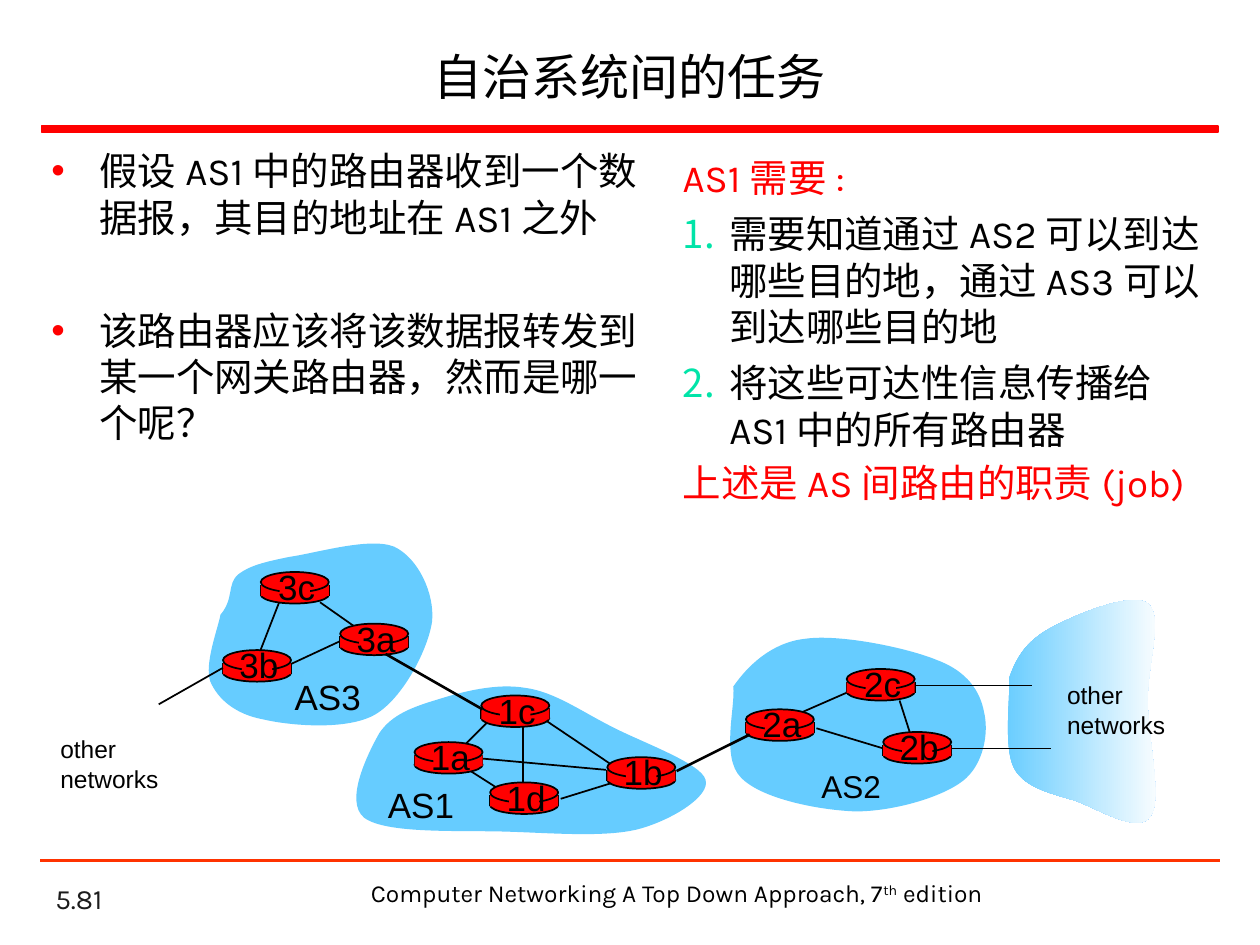
from lxml.etree import SubElement
from pptx import Presentation
from pptx.dml.color import RGBColor
from pptx.enum.shapes import MSO_CONNECTOR, MSO_SHAPE
from pptx.enum.text import MSO_ANCHOR, MSO_AUTO_SIZE, PP_ALIGN
from pptx.oxml.ns import qn
from pptx.util import Inches, Pt

HEX = {"red": "FF0000", "orange": "FF3300", "black": "000000", "gray": "1C1C1C",
       "cloud": "66CCFF", "white": "FFFFFF", "number": "00E4A8"}
COLORS = {name: RGBColor.from_string(value) for name, value in HEX.items()}

deck = Presentation()
deck.slide_width, deck.slide_height = Inches(10), Inches(7.5)
slide = deck.slides.add_slide(deck.slide_layouts[5])
shapes = slide.shapes


def add_text(parent, place, paragraphs, size, font="Karla", color="black",
             align=PP_ALIGN.LEFT, wrap=True):
    """Add a text box; each paragraph is a list of run texts."""
    box = parent.add_textbox(*[Inches(value) for value in place])
    frame = box.text_frame
    frame.word_wrap = wrap
    for index, texts in enumerate(paragraphs):
        para = frame.paragraphs[0] if index == 0 else frame.add_paragraph()
        para.alignment = align
        for text in texts:
            span = para.add_run()
            span.text = text
            span.font.size = Pt(size)
            span.font.name = font
            span.font.color.rgb = COLORS[color]
    return box


def add_line(parent, x1, y1, x2, y2, width=1, color="black"):
    line = parent.add_connector(MSO_CONNECTOR.STRAIGHT, Inches(x1), Inches(y1),
                                Inches(x2), Inches(y2))
    line.line.width = Pt(width)
    line.line.color.rgb = COLORS[color]
    SubElement(line._element.spPr, qn("a:effectLst"))


# Title and rules
title = shapes.title
title.left, title.top, title.width, title.height = [
    Inches(value) for value in (0.37, 0.25, 9.25, 0.7)]
title.text_frame.text = "自治系统间的任务"
title.text_frame.vertical_anchor = MSO_ANCHOR.MIDDLE
title.text_frame.auto_size = MSO_AUTO_SIZE.NONE
title_para = title.text_frame.paragraphs[0]
title_para.alignment = PP_ALIGN.CENTER
title_font = title_para.runs[0].font
title_font.size, title_font.name = Pt(28), "Karla"
title_font.color.rgb = COLORS["black"]

bar = shapes.add_shape(MSO_SHAPE.RECTANGLE, Inches(0.33), Inches(1),
                       Inches(9.34), Inches(0.05))
bar.shadow.inherit = False
bar.fill.solid()
bar.fill.fore_color.rgb = COLORS["red"]
bar.line.color.rgb = COLORS["red"]
bar.line.width = Pt(1)
add_line(shapes, 0.32, 6.83, 9.68, 6.83, 1.5, "orange")

# Footer
number_box = add_text(shapes, (0.34, 6.98, 2.08, 0.33), [["5.81"]], 16, color="gray")
number_box.text_frame.vertical_anchor = MSO_ANCHOR.BOTTOM
footer = add_text(shapes, (2.83, 6.92, 5.08, 0.34),
                  [["Computer Networking A Top Down Approach, 7", "th", " edition"]],
                  14, align=PP_ALIGN.CENTER)
footer.text_frame.paragraphs[0].runs[1].font._element.set("baseline", "30000")

# Two columns of points
left_column = add_text(shapes, (0.31, 1.12, 5.05, 2.55), [
    ["假设AS1中的路由器收到一个数据报，其目的地址在AS1之外"],
    ["该路由器应该将该数据报转发到某一个网关路由器，然而是哪一个呢？"]], 22)
right_column = add_text(shapes, (5.32, 1.17, 4.34, 3.11), [
    ["AS1需要:"],
    ["需要知道通过AS2可以到达哪些目的地，通过AS3可以到达哪些目的地"],
    ["将这些可达性信息传播给AS1中的所有路由器"],
    ["上述是AS间路由的职责(job)"]], 22)
left_paras = left_column.text_frame.paragraphs
right_paras = right_column.text_frame.paragraphs
left_paras[1].space_before = Pt(38.5)
for para, gap in zip(right_paras[1:], (6, 6, 4.4)):
    para.space_before = Pt(gap)
for para in (right_paras[0], right_paras[3]):
    para.runs[0].font.color.rgb = COLORS["red"]

bullets = [(para, 0.38, "red", "a:buChar", "char", "•") for para in left_paras]
bullets += [(para, 0.37, "number", "a:buAutoNum", "type", "arabicPeriod")
            for para in right_paras[1:3]]
for para, indent, color, tag, key, value in bullets:
    properties = para._p.get_or_add_pPr()
    properties.set("marL", str(Inches(indent)))
    properties.set("indent", str(-Inches(indent)))
    bullet_color = SubElement(properties, qn("a:buClr"))
    SubElement(bullet_color, qn("a:srgbClr")).set("val", HEX[color])
    if color == "red":
        SubElement(properties, qn("a:buFont")).set("typeface", "Arial")
    SubElement(properties, qn(tag)).set(key, value)

# Network clouds: a start point, then Bezier segments of three points
clouds = {
    "other": [(8.01, 5.38),
              (8.07, 5.21), (8.15, 5.09), (8.33, 4.99), (8.51, 4.89), (8.98, 4.69), (9.11, 4.79),
              (9.24, 4.89), (9.1, 5.29), (9.11, 5.58), (9.11, 5.86), (9.23, 6.35), (9.13, 6.48),
              (9.04, 6.62), (8.73, 6.43), (8.55, 6.36), (8.36, 6.3), (8.14, 6.26), (8.05, 6.1),
              (7.96, 5.93), (8.02, 5.53), (8.01, 5.38)],
    "AS2": [(5.82, 5.45),
            (5.93, 5.29), (6.12, 5.1), (6.39, 5.07), (6.66, 5.03), (7.2, 5.14), (7.44, 5.24),
            (7.68, 5.33), (7.78, 5.49), (7.81, 5.65), (7.85, 5.81), (7.81, 6.07), (7.64, 6.2),
            (7.47, 6.33), (7.09, 6.44), (6.79, 6.44), (6.5, 6.43), (6.04, 6.34), (5.88, 6.17),
            (5.72, 6.01), (5.84, 5.6), (5.82, 5.45)],
    "AS3": [(1.75, 4.88),
            (1.86, 4.75), (1.8, 4.64), (1.89, 4.56), (1.98, 4.49), (2.1, 4.46), (2.3, 4.42),
            (2.51, 4.39), (2.94, 4.26), (3.13, 4.34), (3.32, 4.43), (3.45, 4.71), (3.43, 4.93),
            (3.4, 5.15), (3.2, 5.54), (2.98, 5.67), (2.76, 5.8), (2.3, 5.76), (2.09, 5.71),
            (1.87, 5.67), (1.73, 5.55), (1.67, 5.41), (1.62, 5.27), (1.73, 4.99), (1.75, 4.88)],
    "AS1": [(3.01, 5.82),
            (3.11, 5.67), (3.28, 5.61), (3.48, 5.55), (3.67, 5.49), (3.94, 5.42), (4.17, 5.46),
            (4.4, 5.49), (4.62, 5.65), (4.86, 5.77), (5.09, 5.89), (5.57, 6.06), (5.6, 6.19),
            (5.64, 6.32), (5.33, 6.51), (5.07, 6.58), (4.8, 6.65), (4.36, 6.61), (4, 6.6),
            (3.64, 6.59), (3.06, 6.62), (2.89, 6.49), (2.73, 6.36), (2.92, 5.98), (3.01, 5.82)],
}
for name, points in clouds.items():
    corners = [(Inches(x), Inches(y)) for x, y in points]
    builder = shapes.build_freeform(*corners[0])
    builder.add_line_segments(corners[1:], close=True)
    cloud = builder.convert_to_shape()
    cloud.shadow.inherit = False
    cloud.line.fill.background()
    # Turn every three straight segments into one curve
    outline = next(cloud._element.iter(qn("a:path")))
    segments = outline.findall(qn("a:lnTo"))
    closing = outline.find(qn("a:close"))
    for first in range(0, len(segments), 3):
        curve = SubElement(outline, qn("a:cubicBezTo"))
        for segment in segments[first:first + 3]:
            curve.append(segment[0])
            outline.remove(segment)
    outline.append(closing)
    if name == "other":
        cloud.fill.gradient()
        cloud.fill.gradient_angle = 0
        for stop, position, color in zip(cloud.fill.gradient_stops, (0, 1), ("cloud", "white")):
            stop.position = position
            stop.color.rgb = COLORS[color]
    else:
        cloud.fill.solid()
        cloud.fill.fore_color.rgb = COLORS["cloud"]

# Links that end beneath the routers
for link in [(2.31, 5.27, 2.74, 5.07), (2.81, 4.97, 2.54, 4.78), (2.22, 4.77, 2.06, 5.18),
             (3.87, 5.73, 3.7, 5.9), (4.15, 5.76, 4.15, 6.26), (4.32, 5.71, 4.87, 6.08),
             (4.87, 6.21, 4.45, 6.34), (4.81, 6.11, 3.82, 6.02), (3.72, 6.11, 3.94, 6.25),
             (6.28, 5.69, 6.76, 5.48), (6.48, 5.78, 7.01, 5.94), (7.14, 5.56, 7.22, 5.81),
             (7.26, 5.44, 8.19, 5.44, 0.75), (7.53, 5.94, 8.34, 5.94, 0.75)]:
    add_line(shapes, *link)

# Routers: a drum with a patch behind its label
routers = {"3b": (1.77, 5.16), "3c": (2.07, 4.54), "3a": (2.7, 4.95), "1c": (3.82, 5.52),
           "1a": (3.29, 5.89), "1d": (3.89, 6.21), "1b": (4.82, 6.01), "2a": (5.92, 5.63),
           "2c": (6.72, 5.31), "2b": (7.01, 5.81)}
drum_parts = [(MSO_SHAPE.OVAL, 0, 0.11, 0.54, 0.14), (MSO_SHAPE.RECTANGLE, 0, 0.1, 0.54, 0.09),
              (MSO_SHAPE.OVAL, 0, 0, 0.54, 0.16), (MSO_SHAPE.RECTANGLE, 0.15, 0.02, 0.24, 0.2)]
for label, (x, y) in routers.items():
    router = shapes.add_group_shape().shapes
    for side in (x, x + 0.54):
        add_line(router, side, y + 0.1, side, y + 0.19)
    for kind, dx, dy, width, height in drum_parts:
        part = router.add_shape(kind, Inches(x + dx), Inches(y + dy),
                                Inches(width), Inches(height))
        part.shadow.inherit = False
        part.fill.solid()
        part.fill.fore_color.rgb = COLORS["red"]
        if kind == MSO_SHAPE.OVAL:
            part.line.color.rgb = COLORS["black"]
            part.line.width = Pt(1)
        else:
            part.line.fill.background()
    add_text(router, (x + 0.03, y - 0.1, 0.51, 0.43), [[label]], 20, "Arial",
             align=PP_ALIGN.CENTER, wrap=False)

# Network labels
for lines, size, place in [(["AS3"], 20, (2.24, 5.31, 0.73, 0.43)),
                           (["AS2"], 18, (6.42, 6.04, 0.67, 0.4)),
                           (["AS1"], 20, (2.98, 6.17, 0.73, 0.43)),
                           (["other", "networks"], 14, (8.37, 5.35, 0.98, 0.57)),
                           (["other", "networks"], 14, (0.38, 5.78, 0.98, 0.57))]:
    add_text(shapes, place, [[line] for line in lines], size, "Arial", wrap=False)

# Links between networks
for link in [(1.77, 5.3, 1.26, 5.59), (5.37, 6.12, 5.95, 5.83, 1.5),
             (3.06, 5.19, 3.83, 5.63, 1.5)]:
    add_line(shapes, *link)

deck.save("out.pptx")
